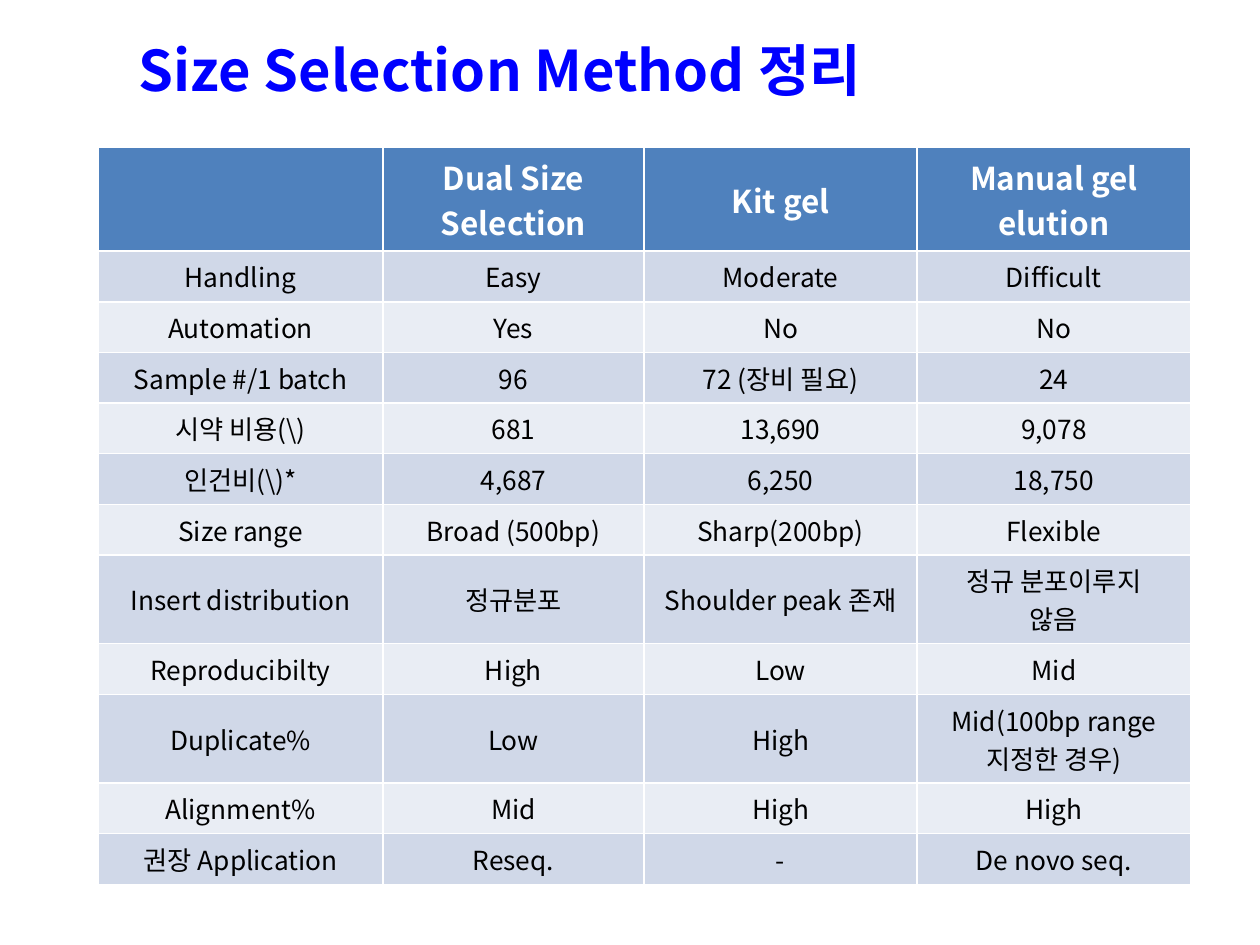
from lxml.etree import SubElement
from pptx import Presentation
from pptx.dml.color import RGBColor
from pptx.enum.text import MSO_ANCHOR, MSO_AUTO_SIZE, PP_ALIGN
from pptx.oxml.ns import qn
from pptx.util import Cm, Pt

FONT = "Noto Sans CJK KR"
BLUE = RGBColor(0x00, 0x00, 0xFF)
WHITE = RGBColor(0xFF, 0xFF, 0xFF)
BLACK = RGBColor(0x00, 0x00, 0x00)
HEADER_FILL = RGBColor(0x4F, 0x81, 0xBD)
BAND_FILLS = (RGBColor(0xE9, 0xED, 0xF4), RGBColor(0xD0, 0xD8, 0xE8))

COLUMN_WIDTHS = (5.74, 5.26, 5.51, 5.51)
HEADER_HEIGHT, ROW_HEIGHT, TALL_HEIGHT = 1.73, 0.91, 1.5
TALL_ROWS = ("Insert distribution", "Duplicate%")

METHODS = (
    ("", "Dual Size Selection", "Kit gel", "Manual gel elution"),
    ("Handling", "Easy", "Moderate", "Difficult"),
    ("Automation", "Yes", "No", "No"),
    ("Sample #/1 batch", "96", "72 (장비 필요)", "24"),
    ("시약 비용(\\)", "681", "13,690", "9,078"),
    ("인건비(\\)*", "4,687", "6,250", "18,750"),
    ("Size range", "Broad (500bp)", "Sharp(200bp)", "Flexible"),
    ("Insert distribution", "정규분포", "Shoulder peak 존재", "정규 분포이루지\n않음"),
    ("Reproducibilty", "High", "Low", "Mid"),
    ("Duplicate%", "Low", "High", "Mid(100bp range지정한 경우)"),
    ("Alignment%", "Mid", "High", "High"),
    ("권장 Application", "Reseq.", "-", "De novo seq."),
)


def add_span(para, text, size, color, bold):
    span = para.add_run()
    span.text = text
    span.font.size = Pt(size)
    span.font.bold = bold
    span.font.color.rgb = color
    span.font.name = FONT
    # Korean glyphs take the East Asian font
    SubElement(span.font._element, qn("a:ea"), typeface=FONT)


def set_title(page, text):
    title = page.shapes.title
    title.left, title.top = Cm(2.54), Cm(0.72)
    title.width, title.height = Cm(22.86), Cm(1.14)
    frame = title.text_frame
    frame.auto_size = MSO_AUTO_SIZE.NONE
    frame.vertical_anchor = MSO_ANCHOR.TOP
    frame.margin_top = frame.margin_bottom = Cm(0)
    para = frame.paragraphs[0]
    para.alignment = PP_ALIGN.LEFT
    add_span(para, text, 32, BLUE, True)


def fill_cell(cell, text, fill, size, color, bold):
    cell.fill.solid()
    cell.fill.fore_color.rgb = fill
    cell.vertical_anchor = MSO_ANCHOR.MIDDLE
    frame = cell.text_frame
    for index, line in enumerate(text.splitlines()):
        para = frame.add_paragraph() if index else frame.paragraphs[0]
        para.alignment = PP_ALIGN.CENTER
        add_span(para, line, size, color, bold)


def row_height(index, label):
    if index == 0:
        return HEADER_HEIGHT
    return TALL_HEIGHT if label in TALL_ROWS else ROW_HEIGHT


def add_method_table(page):
    heights = [row_height(index, row[0]) for index, row in enumerate(METHODS)]
    table = page.shapes.add_table(
        len(METHODS), len(COLUMN_WIDTHS), Cm(1.98), Cm(2.97),
        Cm(sum(COLUMN_WIDTHS)), Cm(sum(heights))).table
    for column, width in zip(table.columns, COLUMN_WIDTHS):
        column.width = Cm(width)
    for index, texts in enumerate(METHODS):
        table.rows[index].height = Cm(heights[index])
        if index == 0:
            style = (HEADER_FILL, 18, WHITE, True)
        else:
            style = (BAND_FILLS[index % 2], 15, BLACK, False)
        for cell, text in zip(table.rows[index].cells, texts):
            fill_cell(cell, text, *style)


def main():
    deck = Presentation()
    deck.slide_width, deck.slide_height = Cm(25.4), Cm(19.05)
    page = deck.slides.add_slide(deck.slide_layouts[5])  # title only
    set_title(page, "Size Selection Method 정리")
    add_method_table(page)
    deck.save("out.pptx")


if __name__ == "__main__":
    main()
